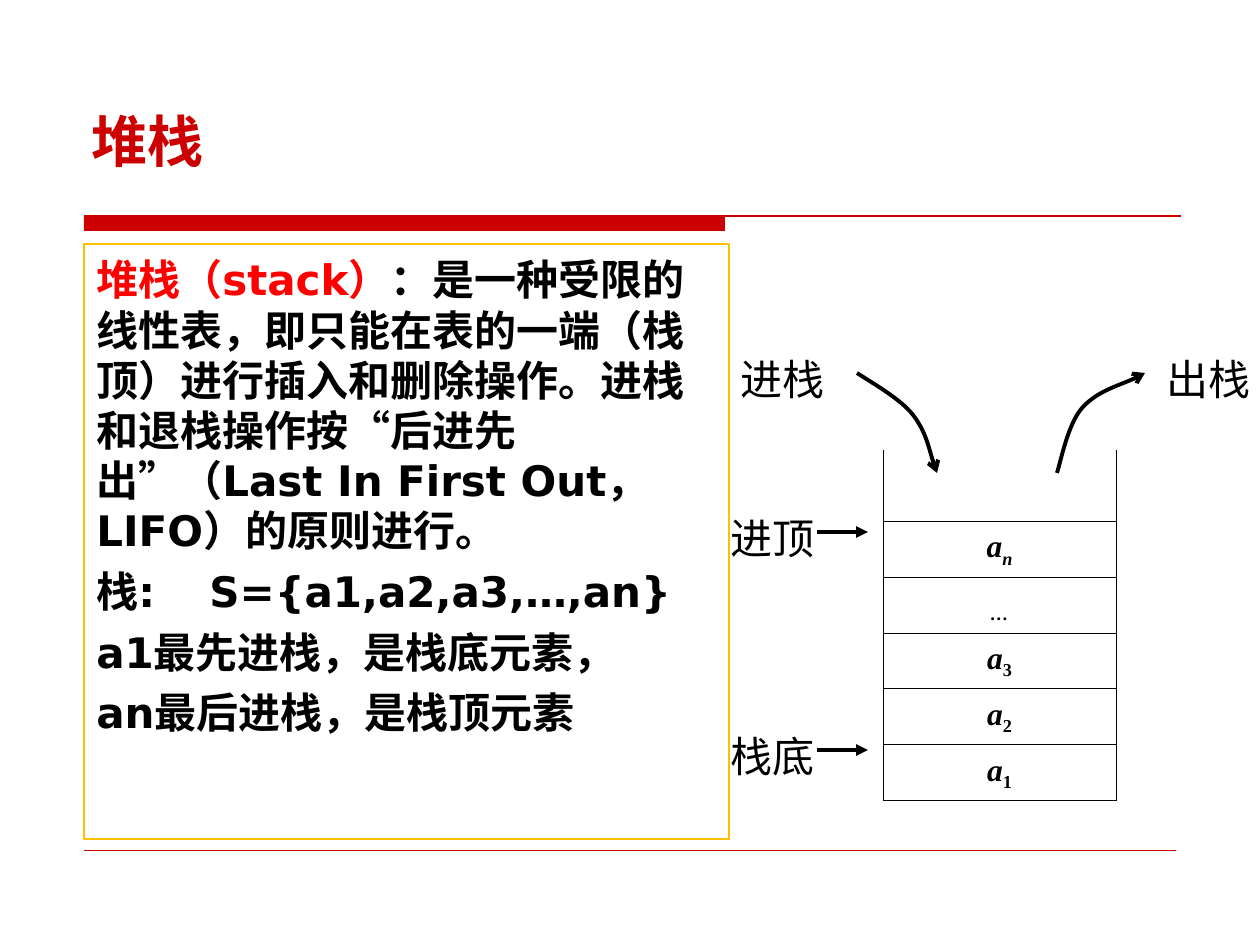
from lxml.etree import SubElement as Sub
from pptx import Presentation
from pptx.dml.color import RGBColor as RGB
from pptx.enum.shapes import MSO_CONNECTOR as Conn, MSO_SHAPE as Geom
from pptx.enum.text import MSO_ANCHOR as Anchor, PP_ALIGN as Align
from pptx.oxml.ns import qn
from pptx.util import Emu, Pt

PX = 914400 / 126
CJK = "Noto Sans CJK SC"
RED, BLACK = "CC0000", "000000"


def write(para, runs, size, face, **fmt):
    """Add runs of (text, colour, extra format) to a paragraph."""
    for text, hue, extra in runs:
        run = para.add_run()
        run.text = text
        look = {"size": Pt(size), "name": face, **fmt, **extra}
        base = look.pop("base", None)
        for key, val in look.items():
            setattr(run.font, key, val)
        run.font.color.rgb = RGB.from_string(hue)
        props = run.font._element
        if base:
            props.set("baseline", base)
        Sub(props, qn("a:ea"), typeface=CJK)


def stroke(shape, hue, width, tip=None):
    """Style a line, with an arrowhead at its end if tip is given."""
    shape.line.color.rgb = RGB.from_string(hue)
    shape.line.width = Pt(width)
    props = shape._element.spPr
    if tip:
        Sub(shape.line._get_or_add_ln(), qn("a:tailEnd"), type=tip)
    if props.find(qn("a:effectLst")) is None:
        Sub(props, qn("a:effectLst"))


deck = Presentation()
deck.slide_width, deck.slide_height = Emu(int(1260 * PX)), Emu(int(945 * PX))
slide = deck.slides.add_slide(deck.slide_layouts[6])
shapes = slide.shapes

# Title bar and rules
bar = shapes.add_shape(Geom.RECTANGLE, *(int(v * PX) for v in (84, 216, 641, 15)))
bar.shadow.inherit = False
bar.fill.solid()
bar.fill.fore_color.rgb = RGB.from_string(RED)
bar.line.fill.background()

lines = [
    (84, 216, 1181, RED, 0.75, None),
    (84, 850, 1176, RED, 0.25, None),
    (817, 532, 868, BLACK, 2.25, "triangle"),
    (817, 750, 868, BLACK, 2.25, "triangle"),
]
for left, top, right, hue, width, tip in lines:
    ends = (int(v * PX) for v in (left, top, right, top))
    stroke(shapes.add_connector(Conn.STRAIGHT, *ends), hue, width, tip)

# Stack cells
rows = ["", "", "an", "…", "a3", "a2", "a1"]
tall = [71, 71] + [56] * 5
area = (int(v * PX) for v in (883, 379, 233, sum(tall)))
frame = shapes.add_table(len(rows), 1, *area)
table = frame.table
table.first_row = table.horz_banding = False
for num, (text, high) in enumerate(zip(rows, tall)):
    table.rows[num].height = Emu(int(high * PX))
    cell = table.cell(num, 0)
    cell.vertical_anchor = Anchor.MIDDLE
    cell.margin_left = cell.margin_right = Emu(int(33 * PX))
    props = cell._tc.get_or_add_tcPr()
    for side in "LRTB":
        edge = Sub(props, qn("a:ln" + side), w=str(Pt(0.45)))
        if num == 0 or (num == 1 and side == "T"):
            Sub(edge, qn("a:noFill"))
        else:
            Sub(Sub(edge, qn("a:solidFill")), qn("a:srgbClr"), val=BLACK)
    cell.fill.background()
    para = cell.text_frame.paragraphs[0]
    para.alignment = Align.CENTER
    runs = []
    for char in text:
        low = {} if char == "a" else {"base": "-25000"}
        runs.append((char, BLACK, {"italic": not char.isdigit(), **low}))
    write(para, runs, 18, "Times New Roman", bold=True)

# Text boxes: place, font, format, paragraphs
bold = {"bold": True}
body = [
    [("堆栈（stack）", "FF0000", {}),
     ("：是一种受限的线性表，即只能在表的一端（栈顶）进行插入和删除操作。"
      "进栈和退栈操作按“后进先出”（Last In First Out，LIFO）的原则进行。", BLACK, {})],
    [("栈:\tS={a1,a2,a3,…,an}", BLACK, {})],
    [("a1最先进栈，是栈底元素，", BLACK, {})],
    [("an最后进栈，是栈顶元素", BLACK, {})],
]
boxes = [
    ((84, 244, 645, 595), "DejaVu Sans", bold, body),
    ((79, 42, 1103, 132), CJK, bold, [[("堆栈", RED, {})]]),
]
labels = [("进栈", 719, 344), ("出栈", 1145, 344), ("进顶", 709, 503), ("栈底", 709, 721)]
for text, left, top in labels:
    boxes.append(((left, top, 128, 63), "Times New Roman", {}, [[(text, BLACK, {})]]))

for place, face, fmt, paras in boxes:
    box = shapes.add_textbox(*(int(v * PX) for v in place))
    frame = box.text_frame
    frame.word_wrap = True
    frame.margin_top = Emu(int(10 * PX))
    title = face == CJK
    if title:
        frame.vertical_anchor = Anchor.BOTTOM
        frame.margin_bottom = 0
    if paras is body:
        stroke(box, "FFC000", 0.75)
    for num, runs in enumerate(paras):
        para = frame.add_paragraph() if num else frame.paragraphs[0]
        if num:
            para.space_before = Pt(6)
        if not title:
            para.line_spacing = Pt(28.7)
        if not fmt:
            para.alignment = Align.CENTER
        if "\t" in runs[0][0]:
            tabs = Sub(para._p.get_or_add_pPr(), qn("a:tabLst"))
            Sub(tabs, qn("a:tab"), pos=str(int(113 * PX)), algn="l")
        write(para, runs, 32 if title else 24, face, **fmt)

# Push and pop arrows: a start point, then three points for each curve
curves = [
    [(857, 373), (867, 380), (900, 398), (913, 415), (926, 432), (932, 461), (937, 473)],
    [(1057, 473), (1061, 461), (1068, 423), (1083, 407), (1098, 391), (1133, 381), (1145, 373)],
]
for start, *rest in curves:
    pen = shapes.build_freeform(*start, scale=PX)
    pen.add_line_segments(rest, close=False)
    arrow = pen.convert_to_shape()
    arrow.fill.background()
    stroke(arrow, BLACK, 2.25, "arrow")
    track = arrow._element.find(".//" + qn("a:path"))
    steps = track.findall(qn("a:lnTo"))
    for num in range(0, len(steps), 3):
        bend = Sub(track, qn("a:cubicBezTo"))
        for step in steps[num:num + 3]:
            bend.append(step[0])
            track.remove(step)

deck.save("out.pptx")
